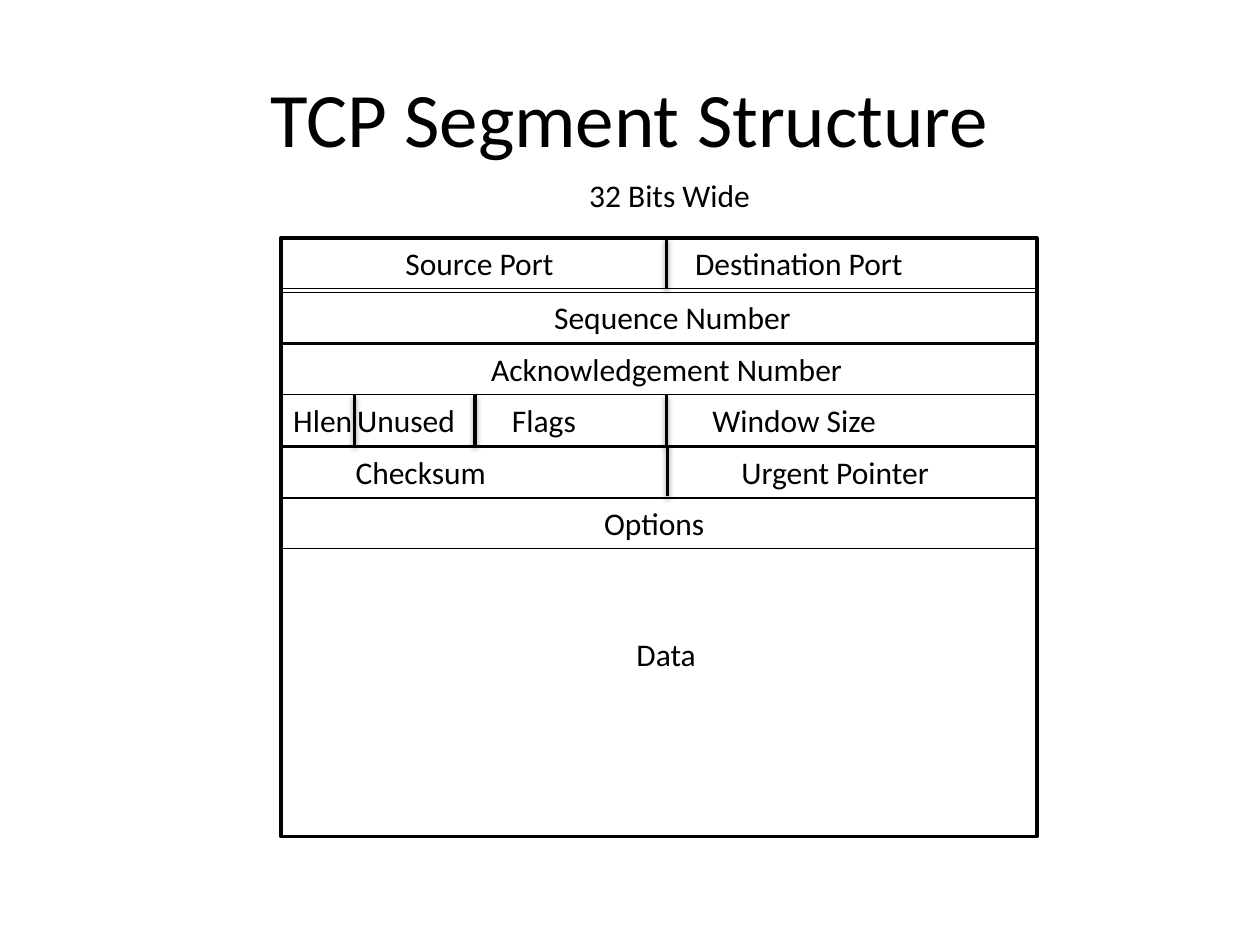
from lxml import etree
from pptx import Presentation
from pptx import util as u
from pptx.dml import color
from pptx.enum import shapes, text
from pptx.oxml import ns

BLACK, WHITE = "000000", "FFFFFF"
LEFT, TOP, WIDTH, ROW_HEIGHT = 160.5, 136, 432, 29
INSET = 7.2


def rgb(value):
    return color.RGBColor.from_string(value)


def child(parent, tag, **attributes):
    element = etree.SubElement(parent, ns.qn(tag))
    for name, value in attributes.items():
        element.set(name, str(value))
    return element


def write(box, words, size=18, indent=0, stops=(), align=text.PP_ALIGN.LEFT,
          anchor=text.MSO_ANCHOR.TOP):
    frame = box.text_frame
    frame.word_wrap = True
    frame.vertical_anchor = anchor
    frame.margin_left = u.Pt(INSET + indent)
    para = frame.paragraphs[0]
    para.alignment = align
    span = para.add_run()
    span.text = words
    span.font.size = u.Pt(size)
    span.font.name = "Calibri"
    span.font.color.rgb = rgb(BLACK)
    if stops:
        tabs = child(para._p.get_or_add_pPr(), "a:tabLst")
        for stop in stops:
            child(tabs, "a:tab", pos=u.Pt(stop - indent), algn="l")


class SegmentDiagram:
    thick, thin = 2, 0.75

    def __init__(self, page):
        self.page = page

    def label(self, words, left, top, width, height, **style):
        box = self.page.shapes.add_textbox(
            u.Pt(left), u.Pt(top), u.Pt(width), u.Pt(height))
        write(box, words, **style)

    def rectangle(self, top, height, weight, fill=None):
        box = self.page.shapes.add_shape(
            shapes.MSO_SHAPE.RECTANGLE,
            u.Pt(LEFT), u.Pt(top), u.Pt(WIDTH), u.Pt(height))
        box.shadow.inherit = False
        if fill:
            box.fill.solid()
            box.fill.fore_color.rgb = rgb(fill)
        else:
            box.fill.background()
        box.line.color.rgb = rgb(BLACK)
        box.line.width = u.Pt(weight)
        return box

    def row(self, top, fields):
        box = self.rectangle(top, ROW_HEIGHT, self.thin)
        names, offsets = zip(*fields)
        write(box, "\t".join(names), indent=offsets[0], stops=offsets[1:])

    def divider(self, x, top):
        line = self.page.shapes.add_connector(
            shapes.MSO_CONNECTOR.STRAIGHT,
            u.Pt(x), u.Pt(top), u.Pt(x), u.Pt(top + ROW_HEIGHT))
        line.line.color.rgb = rgb(BLACK)
        line.line.width = u.Pt(self.thick)
        effects = child(line._element.spPr, "a:effectLst")
        shadow = child(effects, "a:outerShdw", blurRad=u.Pt(3.1),
                       dist=u.Pt(1.6), dir=90 * 60000, rotWithShape=0)
        child(child(shadow, "a:srgbClr", val=BLACK), "a:alpha", val=38000)


deck = Presentation()
deck.slide_width, deck.slide_height = u.Pt(720), u.Pt(540)
page = deck.slides.add_slide(deck.slide_layouts[6])
diagram = SegmentDiagram(page)

diagram.label("TCP Segment Structure", 36, 21.6, 648, 90, size=44,
              align=text.PP_ALIGN.CENTER, anchor=text.MSO_ANCHOR.MIDDLE)
diagram.rectangle(TOP, 342, diagram.thick, fill=WHITE)

rows = [
    (136, [("Source Port", 64), ("Destination Port", 229.5)]),
    (167, [("Sequence Number", 149)]),
    (196.5, [("Acknowledgement Number", 113)]),
    (225.5, [("Hlen", 0), ("Unused", 36.5), ("Flags", 125), ("Window Size", 239.5)]),
    (255.5, [("Checksum", 35.5), ("Urgent Pointer", 256)]),
    (284.5, [("Options", 177.5)]),
]
for top, fields in rows:
    diagram.row(top, fields)

for x, top in [(381, 136), (202.5, 225.5), (271.5, 225.5), (381, 225.5), (381.5, 254.5)]:
    diagram.divider(x, top)

diagram.label("Data", 329, 359.5, 104.5, ROW_HEIGHT, indent=27.5)
diagram.label("32 Bits Wide", 306, 97, 180, ROW_HEIGHT, indent=23.5)

deck.save("out.pptx")
